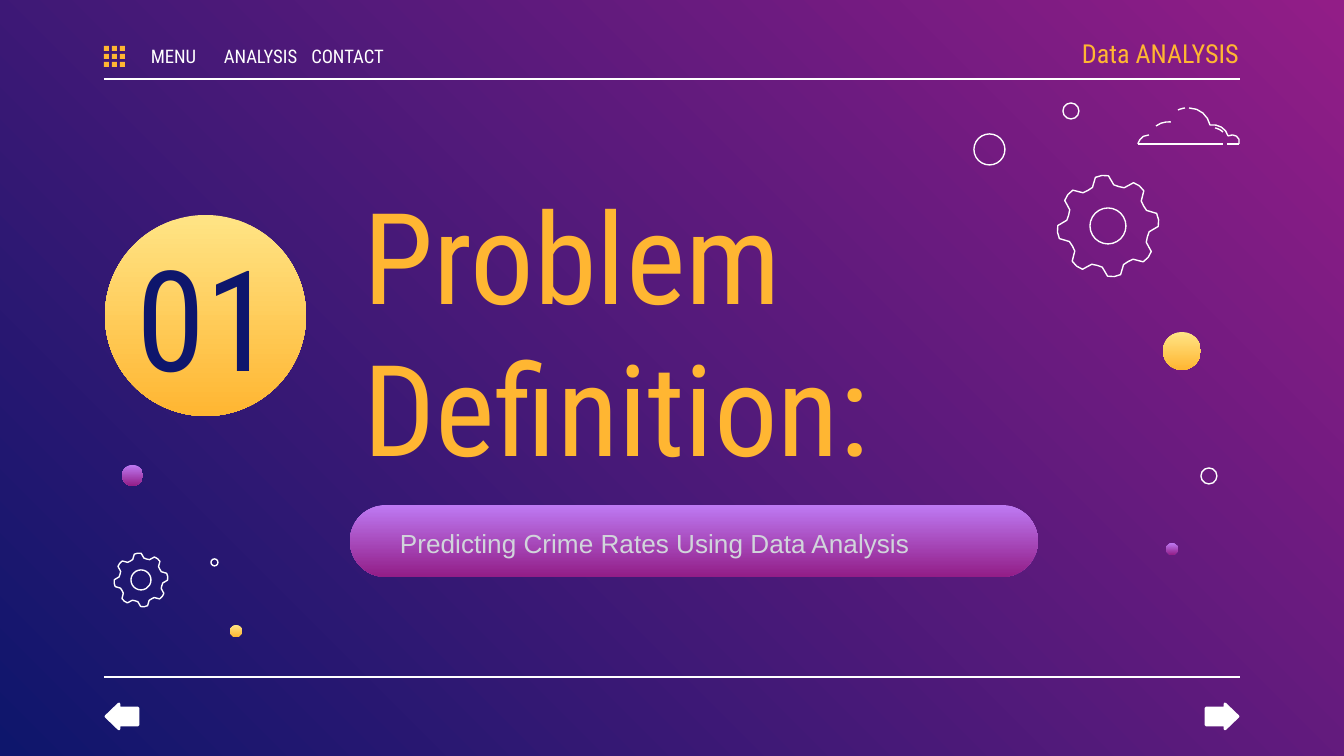
"""Build the section opener slide "01 Problem Definition"."""
from dataclasses import dataclass
from itertools import product
from math import cos, pi, radians, sin, tanh
from typing import Optional

from lxml import etree
from pptx import Presentation
from pptx import util as u
from pptx.dml.color import RGBColor
from pptx.enum import shapes, text
from pptx.oxml.ns import qn

WHITE = RGBColor(0xFF, 0xFF, 0xFF)
AMBER = RGBColor(0xFF, 0xB6, 0x32)
LEMON = RGBColor(0xFF, 0xE4, 0x85)
LILAC = RGBColor(0xBE, 0x7A, 0xF3)
MAGENTA = RGBColor(0x92, 0x1D, 0x87)
NAVY = RGBColor(0x0E, 0x16, 0x6C)
SILVER = RGBColor(0xD1, 0xD5, 0xDB)
GOLD_FADE = (LEMON, AMBER)
PURPLE_FADE = (LILAC, MAGENTA)

SLIDE_WIDTH, SLIDE_HEIGHT = 1344, 756
EMU_PER_PX = 9144000 / SLIDE_WIDTH
LEFT_MARGIN, RIGHT_MARGIN = 104, 1240
FONT = "Roboto Condensed"
TEETH, POINTS_PER_TOOTH = 8, 6

Point = tuple[float, float]
Fade = tuple[RGBColor, RGBColor]


@dataclass(frozen=True)
class Bubble:
    """A circle, either faded or only outlined."""
    x: int
    y: int
    size: int
    fade: Optional[Fade] = None


@dataclass(frozen=True)
class Gear:
    """A cogwheel outline around a centre."""
    x: int
    y: int
    radius: int
    hub: int


BUBBLES = [
    Bubble(105, 215, 201, GOLD_FADE),
    Bubble(1063, 103, 16),
    Bubble(1163, 332, 38, GOLD_FADE),
    Bubble(122, 465, 21, PURPLE_FADE),
    Bubble(230, 625, 12, GOLD_FADE),
    Bubble(1201, 468, 16),
    Bubble(974, 134, 31),
    Bubble(211, 559, 7),
    Bubble(1166, 543, 12, PURPLE_FADE),
]
GEARS = [Gear(1108, 226, 51, 18), Gear(141, 580, 27, 10)]
CLOUD = [
    [(1189, 108), (1200, 108), (1208, 116), (1210, 125), (1218, 124), (1226, 128),
     (1228, 136), (1234, 133), (1241, 137), (1239, 144)],
    [(1185, 108), (1185, 108), (1180, 109), (1178, 110)],
    [(1138, 144), (1138, 144), (1140, 135), (1149, 135)],
    [(1215, 128), (1215, 128), (1220, 129), (1223, 132)],
    [(1171, 122), (1171, 122), (1162, 121), (1156, 126)],
]
CLOUD_BASE = [(1138, 1223), (1227, 1239)]


def px(length: float) -> u.Emu:
    """Turn px into EMU."""
    return u.Emu(round(length * EMU_PER_PX))


def fade_fill(fill, fade: Fade, angle: int) -> None:
    """Fill with a two-colour gradient."""
    fill.gradient()
    fill.gradient_angle = angle
    for stop, color in zip(fill.gradient_stops, fade):
        stop.color.rgb = color


def outline_only(shape) -> None:
    """Leave a thin white outline."""
    shape.shadow.inherit = False
    shape.fill.background()
    shape.line.color.rgb = WHITE
    shape.line.width = u.Pt(0.75)


def add_preset(slide, kind, x: int, y: int, width: int, height: int):
    """Add a preset shape without shadow or line."""
    shape = slide.shapes.add_shape(kind, px(x), px(y), px(width), px(height))
    shape.shadow.inherit = False
    shape.line.fill.background()
    return shape


def add_text(slide, words: str, x: int, y: int, width: int, height: int, *, size: int,
             color: RGBColor, font: str = FONT, align=text.PP_ALIGN.LEFT,
             left: int = 0, right: int = 0) -> None:
    """Add a vertically centred text box."""
    frame = slide.shapes.add_textbox(px(x), px(y), px(width), px(height)).text_frame
    frame.word_wrap = True
    frame.vertical_anchor = text.MSO_ANCHOR.MIDDLE
    frame.margin_left, frame.margin_right = px(left), px(right)
    frame.margin_top = frame.margin_bottom = 0
    paragraph = frame.paragraphs[0]
    paragraph.alignment = align
    run = paragraph.add_run()
    run.text = words
    run.font.size, run.font.name = u.Pt(size), font
    run.font.color.rgb = color


def add_rule(slide, y: int, start: int = LEFT_MARGIN, end: int = RIGHT_MARGIN) -> None:
    """Add a horizontal white rule."""
    rule = slide.shapes.add_connector(
        shapes.MSO_CONNECTOR.STRAIGHT, px(start), px(y), px(end), px(y))
    rule.line.color.rgb = WHITE
    rule.line.width = u.Pt(0.75)
    etree.SubElement(rule.element.spPr, qn("a:effectLst"))


def add_bubble(slide, bubble: Bubble) -> None:
    """Draw one circle."""
    circle = add_preset(slide, shapes.MSO_SHAPE.OVAL, bubble.x, bubble.y, bubble.size, bubble.size)
    if bubble.fade:
        fade_fill(circle.fill, bubble.fade, 270)
    else:
        outline_only(circle)


def add_outline(slide, points: list[Point], close: bool) -> None:
    """Draw points as one unfilled freeform."""
    start, *others = [(px(x), px(y)) for x, y in points]
    builder = slide.shapes.build_freeform(*start, scale=1.0)
    builder.add_line_segments(others, close=close)
    outline_only(builder.convert_to_shape())


def add_gear(slide, gear: Gear) -> None:
    """Draw a cogwheel with its hub."""
    rim = []
    count = TEETH * POINTS_PER_TOOTH
    for step in range(count):
        turn = 2 * pi * step / count
        reach = gear.radius * (0.9 + 0.1 * tanh(2.5 * cos(TEETH * turn)))
        angle = turn - radians(97)
        rim.append((gear.x + reach * cos(angle), gear.y + reach * sin(angle)))
    add_outline(slide, rim, close=True)
    add_bubble(slide, Bubble(gear.x - gear.hub, gear.y - gear.hub, 2 * gear.hub))


def bezier_points(nodes: list[Point], steps: int = 4) -> list[Point]:
    """Sample a chain of cubic curves."""
    points = [nodes[0]]
    for first in range(0, len(nodes) - 1, 3):
        for step in range(1, steps + 1):
            t = step / steps
            weights = ((1 - t) ** 3, 3 * t * (1 - t) ** 2, 3 * t * t * (1 - t), t ** 3)
            curve = list(zip(weights, nodes[first:first + 4]))
            points.append((sum(w * p[0] for w, p in curve), sum(w * p[1] for w, p in curve)))
    return points


def add_arrow(slide, kind, x: int) -> None:
    """Draw a navigation arrow with softened corners."""
    arrow = add_preset(slide, kind, x, 704, 32, 25)
    arrow.adjustments[0], arrow.adjustments[1] = 0.68, 0.52
    arrow.fill.solid()
    arrow.fill.fore_color.rgb = arrow.line.color.rgb = WHITE
    arrow.line.width = u.Pt(1.5)
    etree.SubElement(arrow.element.spPr.find(qn("a:ln")), qn("a:round"))


def main() -> None:
    """Compose and save the slide."""
    deck = Presentation()
    deck.slide_width, deck.slide_height = px(SLIDE_WIDTH), px(SLIDE_HEIGHT)
    slide = deck.slides.add_slide(deck.slide_layouts[6])
    fade_fill(slide.background.fill, (MAGENTA, NAVY), 225)

    for y in (79, 677):
        add_rule(slide, y)
    pill = add_preset(slide, shapes.MSO_SHAPE.ROUNDED_RECTANGLE, 350, 505, 688, 72)
    pill.adjustments[0] = 0.5
    fade_fill(pill.fill, PURPLE_FADE, 270)
    for bubble in BUBBLES:
        add_bubble(slide, bubble)
    for gear in GEARS:
        add_gear(slide, gear)
    for stroke in CLOUD:
        add_outline(slide, bezier_points(stroke), close=False)
    for start, end in CLOUD_BASE:
        add_rule(slide, 144, start, end)
    add_arrow(slide, shapes.MSO_SHAPE.LEFT_ARROW, 106)
    add_arrow(slide, shapes.MSO_SHAPE.RIGHT_ARROW, 1206)
    for column, row in product(range(3), repeat=2):
        square = add_preset(slide, shapes.MSO_SHAPE.RECTANGLE, 104 + 8 * column, 46 + 8 * row, 5, 5)
        square.fill.solid()
        square.fill.fore_color.rgb = AMBER

    for index, label in enumerate(("MENU", "ANALYSIS", "CONTACT")):
        add_text(slide, label, 135 + 87 * index, 41, 77, 31, size=10, color=WHITE,
                 align=text.PP_ALIGN.CENTER)
    add_text(slide, "Data ANALYSIS", 1038, 31, 201, 44, size=14, color=AMBER,
             align=text.PP_ALIGN.RIGHT)
    add_text(slide, "Problem Definition:", 350, 178, 653, 304, size=68, color=AMBER,
             left=13, right=13)
    add_text(slide, "01", 105, 259, 201, 112, size=75, color=NAVY, align=text.PP_ALIGN.CENTER)
    add_text(slide, "Predicting Crime Rates Using Data Analysis", 387, 520, 672, 46, size=14,
             color=SILVER, font="Arial", left=13, right=13)
    deck.save("out.pptx")


if __name__ == "__main__":
    main()
